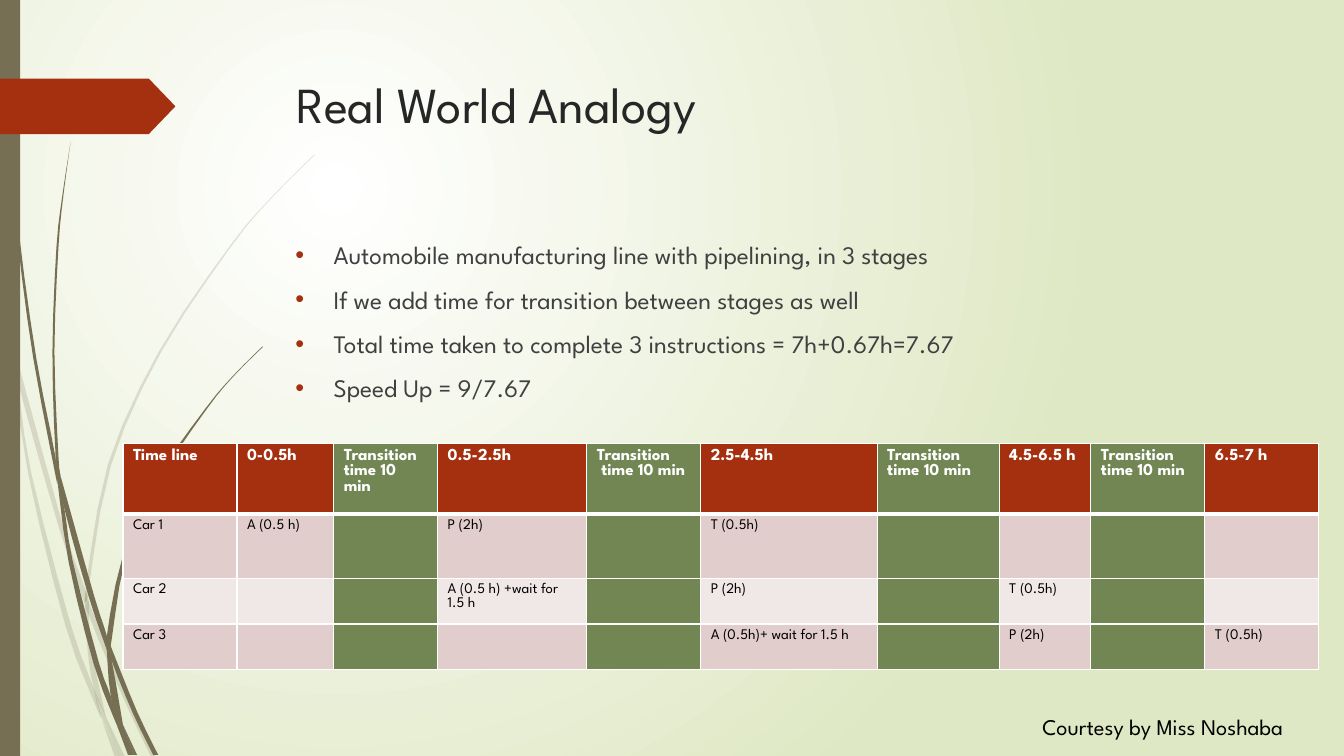
from lxml import etree
from pptx import Presentation
from pptx.dml.color import RGBColor
from pptx.enum.shapes import MSO_SHAPE as Kind
from pptx.oxml.ns import qn
from pptx.util import Inches, Pt

FONT = "League Spartan"
WHITE = RGBColor(0xFF, 0xFF, 0xFF)
BLACK = RGBColor(0, 0, 0)
LIME = RGBColor(0xDF, 0xE8, 0xC4)
OLIVE = RGBColor(0x76, 0x6F, 0x54)
RUST = RGBColor(0xA5, 0x30, 0x10)
GREEN = RGBColor(0x72, 0x86, 0x53)
ROSE = RGBColor(0xE1, 0xCD, 0xCC)
PALE = RGBColor(0xF0, 0xE8, 0xE7)
INK = RGBColor(0x26, 0x26, 0x26)
GRAY = RGBColor(0x40, 0x40, 0x40)

TITLE = "Real World Analogy"
POINTS = [
    "Automobile manufacturing line with pipelining, in 3 stages",
    "If we add time for transition between stages as well",
    "Total time taken to complete 3 instructions = 7h+0.67h=7.67",
    "Speed Up = 9/7.67",
]
CREDIT = "Courtesy by Miss Noshaba"
GAP = "Transition time 10 min"
ROWS = [
    ["Time line", "0-0.5h", GAP, "0.5-2.5h", "Transition\n time 10 min",
     "2.5-4.5h", GAP, "4.5-6.5 h", GAP, "6.5-7 h"],
    ["Car 1", "A (0.5 h)", "", "P (2h)", "", "T (0.5h)", "", "", "", ""],
    ["Car 2", "", "", "A (0.5 h) +wait for 1.5 h", "", "P (2h)", "", "T (0.5h)", "", ""],
    ["Car 3", "", "", "", "", "A (0.5h)+ wait for 1.5 h", "", "P (2h)", "", "T (0.5h)"],
]
WIDTHS = [1.13, 0.96, 1.03, 1.48, 1.13, 1.75, 1.21, 0.91, 1.13, 1.13]
HEIGHTS = [0.54, 0.64, 0.45, 0.45]
ROW_FILLS = [RUST, ROSE, PALE, ROSE]
GAP_COLS = (2, 4, 6, 8)

# Pieces of grass: x, y pairs down the left edge, then down the right edge
FAINT = [
    ((0, 2.82, 0, 2.99, 0.1, 3.44, 0.11, 3.5), (0, 2.82, 0.09, 3.22, 0.11, 3.5)),
    ((0.14, 3.45, 0.17, 3.76, 0.58, 5.22, 0.84, 5.99),
     (0.14, 3.45, 0.62, 5.2, 0.85, 5.86, 0.84, 5.99)),
    ((0.88, 5.96, 0.88, 6.1, 1.23, 6.94, 1.5, 7.51),
     (0.88, 5.96, 0.92, 6.07, 1.27, 6.92, 1.55, 7.51)),
    ((1.05, 7.11, 1.19, 7.51), (1.05, 7.11, 1.24, 7.51)),
    ((0.11, 3.5, 0.28, 4.7, 0.65, 6.21, 0.92, 6.93, 1.01, 7.14),
     (0.11, 3.5, 0.17, 3.76, 0.31, 4.69, 0.7, 6.19, 0.93, 6.83, 1.01, 7.14)),
    ((0.84, 5.99, 0.87, 6.46, 0.93, 6.83, 1.05, 7.11),
     (0.84, 5.99, 0.88, 6.1, 0.91, 6.46, 1.05, 7.11)),
    ((3.12, 1.53, 2.68, 1.97, 2.28, 2.44, 1.58, 3.48, 1.07, 4.61, 0.85, 5.84, 0.88, 5.96),
     (3.12, 1.54, 2.68, 1.98, 2.29, 2.45, 1.6, 3.49, 1.1, 4.62, 0.88, 5.84, 0.88, 5.96)),
    ((1.01, 7.14, 1.14, 7.51), (1.01, 7.14, 1.19, 7.51)),
    ((0.85, 5.86, 0.84, 5.99, 0.88, 6.1), (0.85, 5.86, 0.88, 5.96, 0.88, 6.1)),
    ((0.93, 6.83, 0.99, 7.07, 1.19, 7.51), (0.93, 6.83, 1.05, 7.11, 1.19, 7.51)),
]
SOLID = [
    ((0.03, 0, 0.07, 1.1, 0.17, 2.33, 0.33, 3.55, 0.57, 4.81),
     (0.04, 0, 0.08, 1.09, 0.19, 2.32, 0.36, 3.55, 0.55, 4.53, 0.57, 4.81)),
    ((0.6, 4.72, 0.64, 5.05, 0.88, 5.92, 1.06, 6.45),
     (0.6, 4.72, 0.93, 5.9, 1.06, 6.31, 1.06, 6.45)),
    ((1.1, 6.41, 1.11, 6.56, 1.32, 7.08, 1.52, 7.49),
     (1.1, 6.41, 1.13, 6.49, 1.36, 7.06, 1.57, 7.49)),
    ((0.57, 4.77, 0.68, 5.57, 0.93, 6.59, 1.17, 7.22),
     (0.57, 4.77, 0.64, 5.05, 0.72, 5.56, 0.98, 6.57, 1.1, 6.91, 1.17, 7.22)),
    ((0.7, 1.41, 0.62, 1.93, 0.56, 2.45, 0.52, 3.49, 0.55, 4.49, 0.6, 4.72),
     (0.7, 1.41, 0.63, 1.93, 0.58, 2.45, 0.54, 3.49, 0.58, 4.53, 0.6, 4.72)),
    ((1.22, 7.19, 1.33, 7.49), (1.22, 7.19, 1.36, 7.49)),
    ((0.55, 4.49, 0.57, 4.77, 0.64, 5.05), (0.55, 4.49, 0.6, 4.72, 0.64, 5.05)),
    ((2.6, 3.44, 2.31, 3.73, 2.04, 4.05, 1.56, 4.74, 1.22, 5.51, 1.06, 6.31, 1.1, 6.41),
     (2.61, 3.44, 2.31, 3.74, 2.05, 4.06, 1.58, 4.76, 1.25, 5.52, 1.11, 6.33, 1.1, 6.41)),
    ((1.17, 7.22, 1.27, 7.49), (1.17, 7.22, 1.31, 7.49)),
    ((1.06, 6.45, 1.1, 6.91, 1.22, 7.19), (1.06, 6.45, 1.11, 6.56, 1.22, 7.19)),
    ((1.06, 6.31, 1.06, 6.45, 1.11, 6.56), (1.06, 6.31, 1.1, 6.41, 1.11, 6.56)),
    ((1.1, 6.91, 1.17, 7.22, 1.3, 7.49), (1.1, 6.91, 1.22, 7.19, 1.33, 7.49)),
]


def add(parent, tag, **attrs):
    return etree.SubElement(parent, qn(tag), attrs)


def curve(edge, steps=3):
    """Sample a Catmull-Rom curve through the x, y pairs of an edge."""
    pts = list(zip(edge[::2], edge[1::2]))
    ends = [pts[0], *pts, pts[-1]]
    out = []
    for quad in zip(ends, ends[1:], ends[2:], ends[3:]):
        for t in (i / steps for i in range(steps)):
            out.append([q + t / 2 * (r - p + t * (2 * p - 5 * q + 4 * r - s
                                                  + t * (3 * (q - r) + s - p)))
                        for p, q, r, s in zip(*quad)])
    return out + [pts[-1]]


def paint(shape, color):
    shape.shadow.inherit = False
    shape.fill.solid()
    shape.fill.fore_color.rgb = color
    shape.line.fill.background()


def style(par, size, color, bold=False):
    for run in par.runs:
        font = run.font
        font.name, font.size, font.bold = FONT, Pt(size), bold
        font.color.rgb = color
    end = add(par._p, "a:endParaRPr", sz=str(int(size * 100)))
    add(end, "a:latin", typeface=FONT)


def add_text(slide, box, lines, size, color):
    frame = slide.shapes.add_textbox(*map(Inches, box)).text_frame
    frame.word_wrap = True
    frame.text = "\n".join(lines)
    for par in frame.paragraphs:
        style(par, size, color)
    return frame


def add_back(slide):
    fill = slide.background.fill
    fill.gradient()
    for stop, place, color in zip(fill.gradient_stops, (0, 1), (WHITE, LIME)):
        stop.position = place
        stop.color.rgb = color
    grad = slide.element.find(".//" + qn("a:gradFill"))
    grad.remove(grad.find(qn("a:lin")))
    ring = add(grad, "a:path", path="circle")
    add(ring, "a:fillToRect", l="50000", t="50000", r="100000", b="100000")


def add_blade(slide, left, right, alpha):
    pts = [(Inches(x), Inches(y)) for x, y in curve(left) + curve(right)[::-1]]
    form = slide.shapes.build_freeform(*pts[0], scale=1.0)
    form.add_line_segments(pts[1:], close=True)
    blade = form.convert_to_shape()
    paint(blade, OLIVE)
    if alpha < 100:
        tint = blade.element.spPr.find(qn("a:solidFill"))[0]
        add(tint, "a:alpha", val=str(alpha * 1000))


def add_edges(cell, top, base):
    props = cell._tc.get_or_add_tcPr()
    for i, (side, width) in enumerate(zip("LRTB", (1, 1, top, base))):
        line = etree.Element(qn("a:ln" + side), w=str(Pt(width)))
        add(add(line, "a:solidFill"), "a:srgbClr", val=str(WHITE))
        props.insert(i, line)


def add_plan(slide):
    box = map(Inches, (1.22, 4.4, sum(WIDTHS), sum(HEIGHTS)))
    table = slide.shapes.add_table(len(ROWS), len(WIDTHS), *box).table
    table.first_row = table.horz_banding = False
    for col, width in zip(table.columns, WIDTHS):
        col.width = Inches(width)
    for r, texts in enumerate(ROWS):
        table.rows[r].height = Inches(HEIGHTS[r])
        for c, text in enumerate(texts):
            cell = table.cell(r, c)
            cell.text = text
            for par in cell.text_frame.paragraphs:
                style(par, *((10.5, BLACK) if r else (12, WHITE, True)))
            cell.fill.solid()
            cell.fill.fore_color.rgb = GREEN if c in GAP_COLS else ROW_FILLS[r]
            add_edges(cell, 3 if r == 1 else 1, 1 if r else 3)


def main():
    deck = Presentation()
    deck.slide_width, deck.slide_height = Inches(13.33), Inches(7.5)
    slide = deck.slides.add_slide(deck.slide_layouts[6])
    add_back(slide)
    for blades, alpha in ((FAINT, 20), (SOLID, 100)):
        for left, right in blades:
            add_blade(slide, left, right, alpha)
    bar = slide.shapes.add_shape(Kind.RECTANGLE, 0, 0, Inches(0.2), Inches(7.5))
    paint(bar, OLIVE)
    flag = slide.shapes.add_shape(Kind.PENTAGON, 0, *map(Inches, (0.78, 1.74, 0.55)))
    flag.adjustments[0] = 0.48
    paint(flag, RUST)
    add_text(slide, (2.84, 0.68, 9.75, 1.4), [TITLE], 36, INK)
    body = add_text(slide, (2.83, 2.33, 9.75, 2), POINTS, 18, GRAY)
    for i, par in enumerate(body.paragraphs):
        props = par._p.get_or_add_pPr()
        props.set("marL", str(Inches(0.38)))
        props.set("indent", str(Inches(-0.38)))
        add(add(props, "a:buClr"), "a:srgbClr", val=str(RUST))
        add(props, "a:buFont", typeface="Arial")
        add(props, "a:buChar", char="•")
        par.space_before = Pt(10 if i else 0)
    add_plan(slide)
    add_text(slide, (10.24, 7.03, 3, 0.4), [CREDIT], 16, BLACK)
    deck.save("out.pptx")


main()
